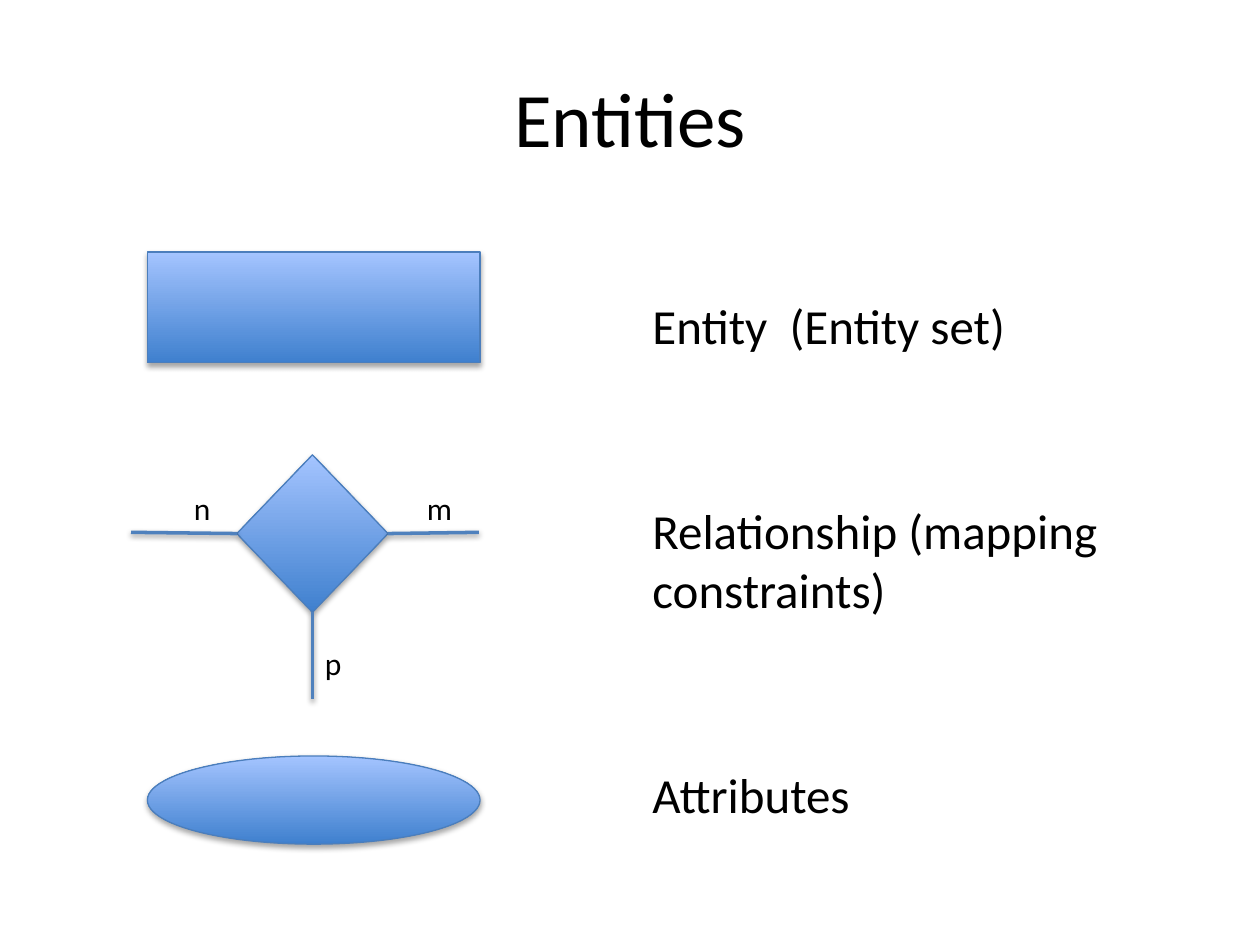
import pptx
import pptx.util
import pptx.dml.color
import pptx.enum.shapes
import pptx.enum.text
import pptx.oxml.ns
import lxml.etree

# Grid of 100 columns by 75 rows
COLS, ROWS = 100, 75
UNIT = pptx.util.Inches(10) // COLS
FONT = "Calibri"
KIND = pptx.enum.shapes.MSO_SHAPE
ALIGN = pptx.enum.text.PP_ALIGN
ANCHOR = pptx.enum.text.MSO_ANCHOR


def grid(*cells):
    return [round(c * UNIT) for c in cells]


def tint(code):
    return pptx.dml.color.RGBColor.from_string(code)


def shade(part, alpha, dist):
    """Soft shadow below a shape or a line."""
    tag = pptx.oxml.ns.qn
    props = part._element.spPr
    for old in props.findall(tag("a:effectLst")):
        props.remove(old)
    group = lxml.etree.SubElement(props, tag("a:effectLst"))
    drop = lxml.etree.SubElement(
        group, tag("a:outerShdw"), blurRad="40000",
        dist=str(pptx.util.Pt(dist)), dir="5400000", rotWithShape="0")
    ink = lxml.etree.SubElement(drop, tag("a:srgbClr"), val="000000")
    lxml.etree.SubElement(ink, tag("a:alpha"), val=str(alpha * 1000))


def write(slide, box, lines, size, align=ALIGN.LEFT,
          anchor=ANCHOR.TOP, wrap=True, gap=0):
    frame = slide.shapes.add_textbox(*grid(*box)).text_frame
    frame.word_wrap = wrap
    frame.vertical_anchor = anchor
    for i, line in enumerate(lines):
        para = frame.paragraphs[0] if i == 0 else frame.add_paragraph()
        para.alignment = align
        if i:
            para.space_before = pptx.util.Pt(gap)
        run = para.add_run()
        run.text = line
        run.font.name = FONT
        run.font.size = pptx.util.Pt(size)
        run.font.color.rgb = tint("000000")


def symbol(slide, kind, box):
    """Blue gradient shape, dark at the bottom."""
    shape = slide.shapes.add_shape(kind, *grid(*box))
    shape.fill.gradient()
    shape.fill.gradient_angle = 90
    for stop, code in zip(shape.fill.gradient_stops, ("3F80CE", "A4C4FF")):
        stop.color.rgb = tint(code)
    shape.line.color.rgb = tint("4B7EBC")
    shape.line.width = pptx.util.Pt(0.75)
    shade(shape, 35, 1.8)


def link(slide, start, end):
    line = slide.shapes.add_connector(
        pptx.enum.shapes.MSO_CONNECTOR.STRAIGHT, *grid(*start, *end))
    line.line.color.rgb = tint("4F81BD")
    line.line.width = pptx.util.Pt(2)
    shade(line, 38, 1.6)


def relation(slide, box):
    """Diamond with a labelled arm to the left, right and bottom."""
    x, y, w, h = box
    wide, high = 12, 12.5
    left = x + 8.4
    mid, side, foot = left + wide / 2, y + high / 2, y + high
    symbol(slide, KIND.DIAMOND, (left, y, wide, high))
    link(slide, (left + wide, side), (x + w, side - 0.1))
    link(slide, (mid, foot), (mid, y + h))
    link(slide, (left, side), (x, side - 0.1))
    for name, col, row, width in (("n", x + 4, y + 2.2, 3.3),
                                  ("m", x + 22.5, y + 2.2, 4),
                                  ("p", mid, foot + 2, 3.3)):
        write(slide, (col, row, width, 4), [name], 18, wrap=False)


def legend(slide, box):
    """Symbols on the left: entity, relationship, attribute."""
    x, y, w, h = box
    inset, wide, oval = 1.3, 26.4, 7
    symbol(slide, KIND.RECTANGLE, (x + inset, y, wide, 8.8))
    relation(slide, (x, y + 16.1, w, 19.4))
    symbol(slide, KIND.OVAL, (x + inset, y + h - oval, wide, oval))


def main():
    deck = pptx.Presentation()
    deck.slide_width, deck.slide_height = grid(COLS, ROWS)
    slide = deck.slides.add_slide(deck.slide_layouts[6])
    # Title
    write(slide, (5, 3, 90, 12.5), ["Entities"], 44,
          ALIGN.CENTER, ANCHOR.MIDDLE)
    # Meanings on the right
    write(slide, (50.8, 23, 44.2, 46.6),
          ["Entity  (Entity set)", "Relationship (mapping constraints)",
           "Attributes"], 28, gap=83.5)
    # Symbols on the left
    legend(slide, (10.4, 20, 27.6, 47))
    deck.save("out.pptx")


if __name__ == "__main__":
    main()
